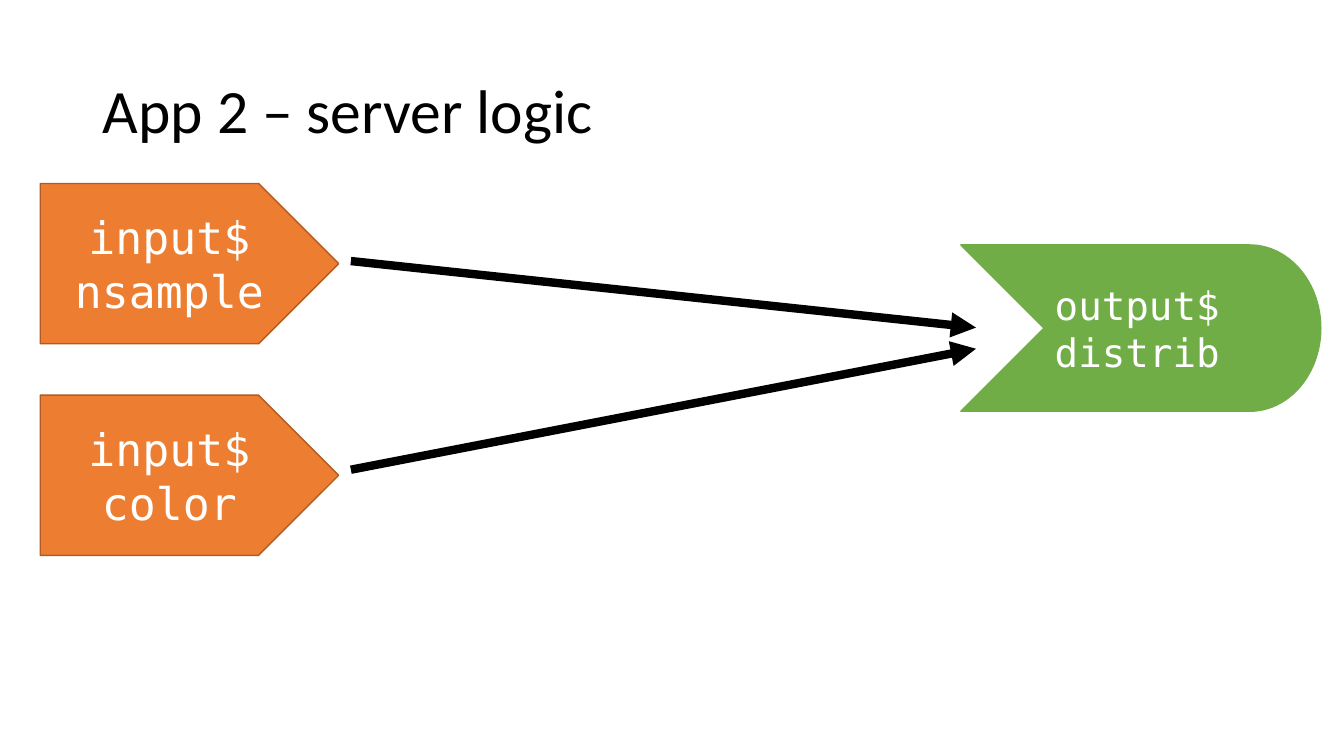
from pptx import Presentation
from pptx.dml.color import RGBColor
from pptx.enum.shapes import MSO_CONNECTOR, MSO_SHAPE
from pptx.enum.text import MSO_ANCHOR, PP_ALIGN
from pptx.oxml.ns import qn
from pptx.util import Inches, Pt
from lxml.etree import SubElement

THEME = {
    "input": RGBColor(0xED, 0x7D, 0x31),
    "input_line": RGBColor(0xAF, 0x5C, 0x24),
    "output": RGBColor(0x70, 0xAD, 0x47),
    "label": RGBColor(0xFF, 0xFF, 0xFF),
    "ink": RGBColor(0, 0, 0),
    "title_font": {"name": "Calibri", "size": Pt(44)},
    "input_font": {"name": "DejaVu Sans Mono", "size": Pt(32)},
    "output_font": {"name": "DejaVu Sans Mono", "size": Pt(28)},
}


def write(shape, lines, font_format, color, alignment):
    frame = shape.text_frame
    frame.text = "\n".join(lines)
    frame.vertical_anchor = MSO_ANCHOR.MIDDLE
    for paragraph in frame.paragraphs:
        paragraph.alignment = alignment
        for run in paragraph.runs:
            for name, value in font_format.items():
                setattr(run.font, name, value)
            run.font.color.rgb = color


def add_block(shapes, kind, box, fill, line):
    shape = shapes.add_shape(kind, *map(Inches, box))
    shape.shadow.inherit = False
    shape.fill.solid()
    shape.fill.fore_color.rgb = fill
    shape.line.color.rgb = line
    shape.line.width = Pt(1)
    shape.text_frame.word_wrap = False
    return shape


presentation = Presentation()
presentation.slide_width, presentation.slide_height = Inches(13.33), Inches(7.5)
slide = presentation.slides.add_slide(presentation.slide_layouts[5])

# Title
title = slide.shapes.title
title.left, title.top, title.width, title.height = map(Inches, (0.92, 0.4, 11.5, 1.45))
write(title, ["App 2 – server logic"], THEME["title_font"], THEME["ink"], PP_ALIGN.LEFT)
title.text_frame.paragraphs[0].line_spacing = 0.9

# Output: a chevron with a rounded end
output_group = slide.shapes.add_group_shape()
for kind, left, width in (
    (MSO_SHAPE.FLOWCHART_DELAY, 11.69, 1.41),
    (MSO_SHAPE.CHEVRON, 9.53, 3.5),
):
    output = add_block(output_group.shapes, kind, (left, 2.43, width, 1.65),
                       THEME["output"], THEME["output"])
write(output, ["output$", "distrib"], THEME["output_font"], THEME["label"], PP_ALIGN.CENTER)

# Inputs, each with an arrow to the output
for name, top, arrow_start, arrow_end in (
    ("nsample", 1.82, 2.59, 3.25),
    ("color", 3.92, 4.66, 3.46),
):
    source = add_block(slide.shapes, MSO_SHAPE.PENTAGON, (0.4, top, 2.96, 1.59),
                       THEME["input"], THEME["input_line"])
    write(source, ["input$", name], THEME["input_font"], THEME["label"], PP_ALIGN.CENTER)

    arrow = slide.shapes.add_connector(
        MSO_CONNECTOR.STRAIGHT, *map(Inches, (3.48, arrow_start, 9.68, arrow_end)))
    arrow.line.color.rgb = THEME["ink"]
    arrow.line.width = Pt(6)
    SubElement(arrow.line._get_or_add_ln(), qn("a:tailEnd"), type="triangle")
    SubElement(arrow._element.spPr, qn("a:effectLst"))

presentation.save("out.pptx")
